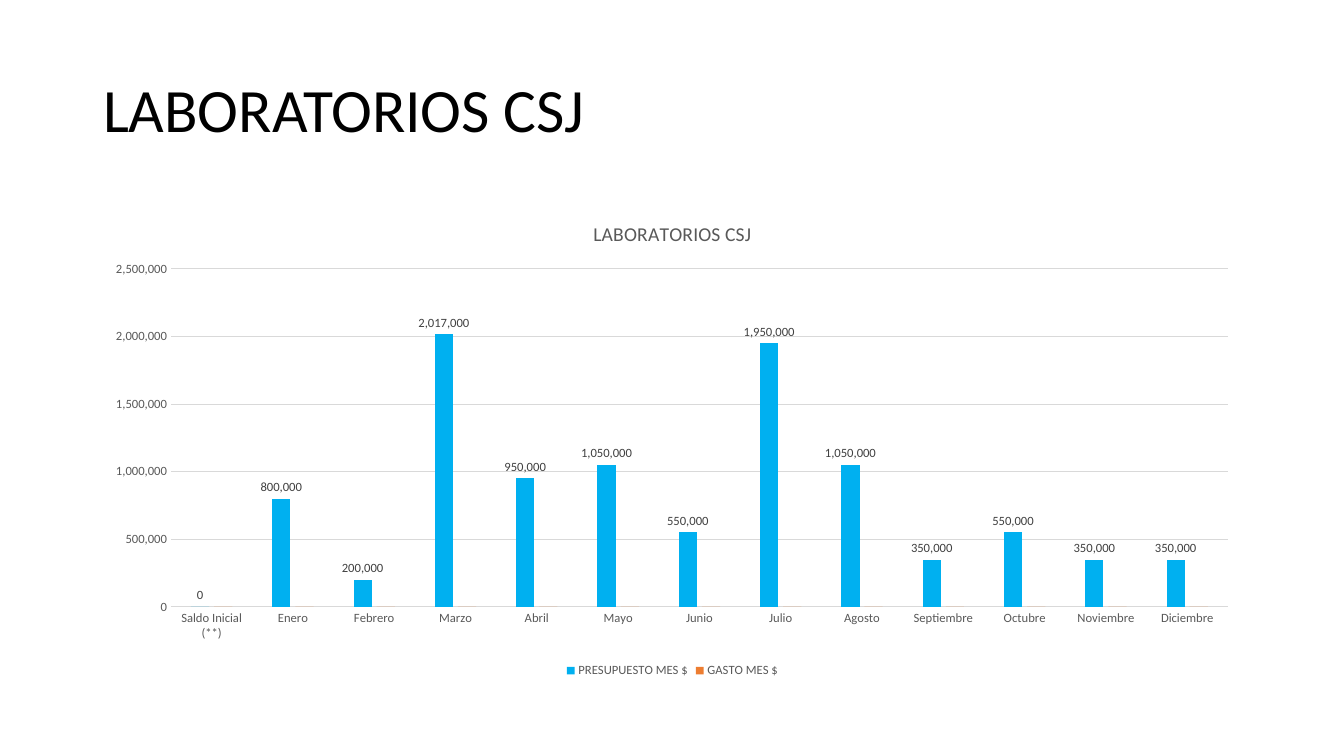
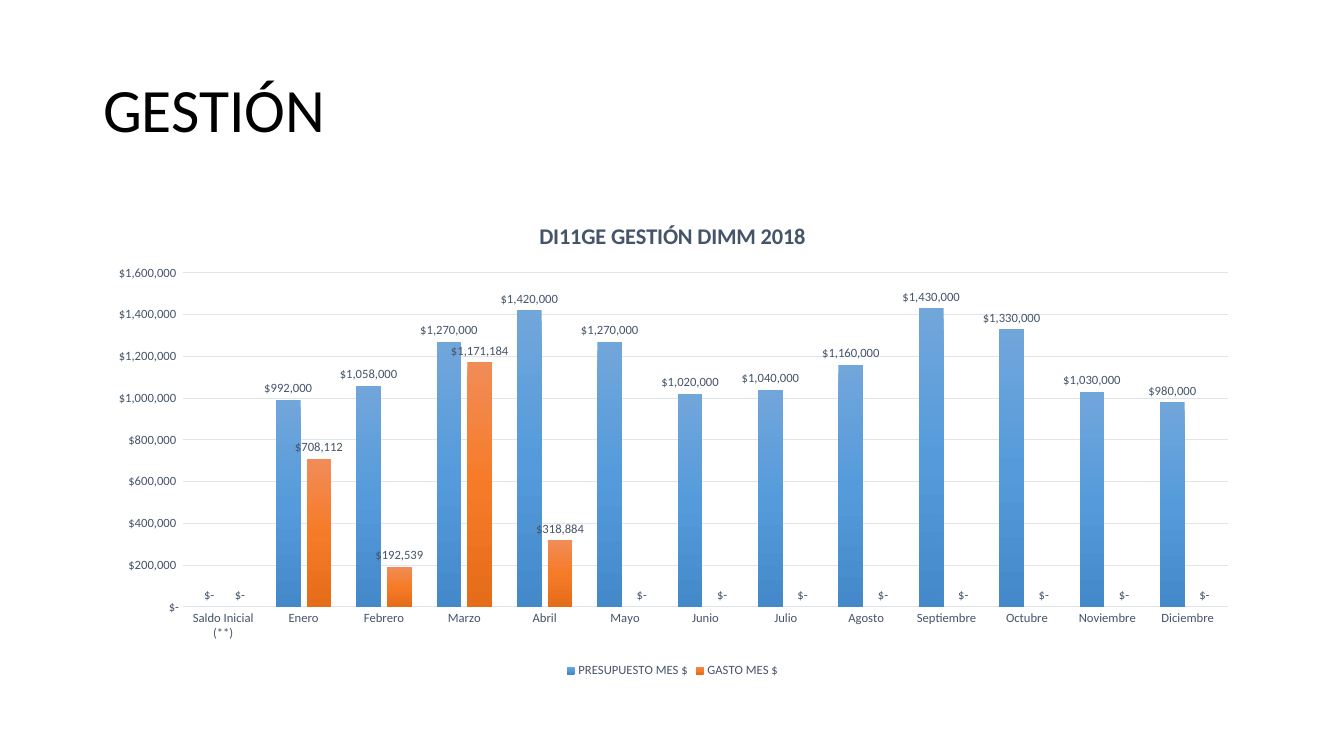
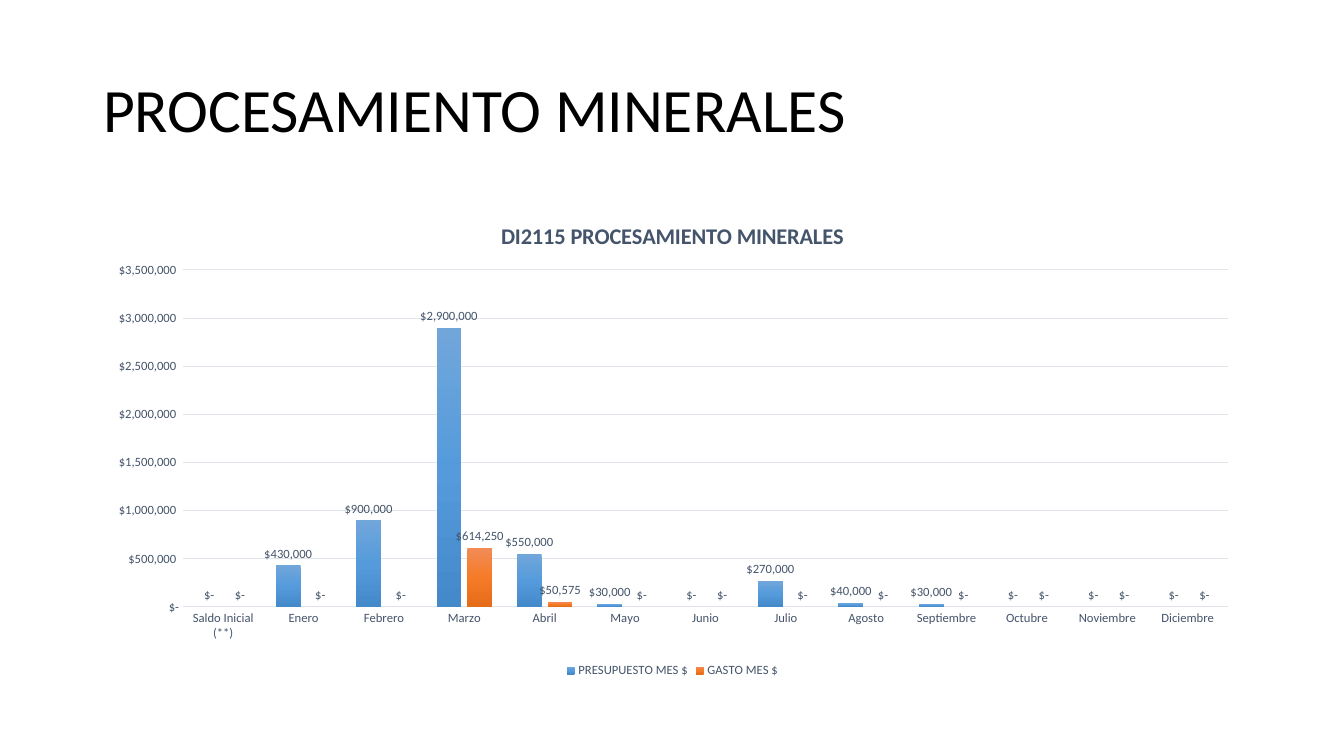
from copy import deepcopy

from pptx import Presentation
from pptx.chart.data import CategoryChartData
from pptx.dml.color import RGBColor
from pptx.enum.chart import XL_CHART_TYPE as ChartType
from pptx.enum.chart import XL_LABEL_POSITION as LabelPosition
from pptx.enum.chart import XL_LEGEND_POSITION as LegendPosition
from pptx.enum.chart import XL_TICK_MARK as TickMark
from pptx.enum.text import MSO_ANCHOR, MSO_AUTO_SIZE, PP_ALIGN
from pptx.oxml import parse_xml
from pptx.oxml.ns import nsdecls, qn
from pptx.util import Emu, Pt

# Shared look
FONT = "Calibri"
BLACK = RGBColor(0x00, 0x00, 0x00)
GRAY = RGBColor(0x59, 0x59, 0x59)
DARK_GRAY = RGBColor(0x40, 0x40, 0x40)
LIGHT_GRAY = RGBColor(0xD9, 0xD9, 0xD9)
SLATE = RGBColor(0x44, 0x54, 0x6A)
PALE_SLATE = RGBColor(0xE0, 0xE5, 0xEB)
CYAN = RGBColor(0x00, 0xB0, 0xF0)
ORANGE = RGBColor(0xED, 0x7D, 0x31)
BLUE_SHADES = [RGBColor(0x71, 0xA6, 0xDB), RGBColor(0x55, 0x9B, 0xDB), RGBColor(0x44, 0x8A, 0xCA)]
ORANGE_SHADES = [RGBColor(0xF1, 0x8C, 0x57), RGBColor(0xF6, 0x7B, 0x28), RGBColor(0xE5, 0x6C, 0x19)]

# Positions in pixels: left, top, width, height
PIXELS_PER_INCH = 100.8
TITLE_BOX = (93, 40, 1159, 146)
CHART_BOX = (93, 202, 1159, 480)
PLOT_RIGHT, PLOT_BOTTOM = 1228, 607

MONTHS = ["Saldo Inicial (**)", "Enero", "Febrero", "Marzo", "Abril", "Mayo", "Junio", "Julio",
          "Agosto", "Septiembre", "Octubre", "Noviembre", "Diciembre"]

PLAIN_STYLE = {
    "text": GRAY, "label": DARK_GRAY, "line": LIGHT_GRAY,
    "title_font": {"size": Pt(14), "bold": False},
    "gap": 219, "overlap": -27, "plot_left": 171,
    "fills": [[CYAN], [ORANGE]], "labelled_series": 1,
    "number_format": "##,###,###,###,##0",
}
CURRENCY_STYLE = {
    "text": SLATE, "label": SLATE, "line": PALE_SLATE,
    "title_font": {"size": Pt(16), "bold": True},
    "gap": 100, "overlap": -24, "plot_left": 183,
    "fills": [BLUE_SHADES, ORANGE_SHADES], "labelled_series": 2,
    "number_format": '_-"$"* #,##0_-;\\-"$"* #,##0_-;_-"$"* "-"',
}

# Content, in slide order; months missing from a series have no amount
SLIDES = [
    {"title": "LABORATORIOS CSJ", "chart_title": "LABORATORIOS CSJ",
     "style": PLAIN_STYLE, "plot_top": 269,
     "budget": [0, 800000, 200000, 2017000, 950000, 1050000, 550000, 1950000,
                1050000, 350000, 550000, 350000, 350000],
     "spending": []},
    {"title": "GESTIÓN", "chart_title": "DI11GE GESTIÓN DIMM 2018",
     "style": CURRENCY_STYLE, "plot_top": 273,
     "budget": [0, 992000, 1058000, 1270000, 1420000, 1270000, 1020000, 1040000,
                1160000, 1430000, 1330000, 1030000, 980000],
     "spending": [0, 708112, 192539, 1171184, 318884]},
    {"title": "PROCESAMIENTO MINERALES", "chart_title": "DI2115 PROCESAMIENTO MINERALES",
     "style": CURRENCY_STYLE, "plot_top": 270,
     "budget": [0, 430000, 900000, 2900000, 550000, 30000, 0, 270000, 40000, 30000],
     "spending": [0, 0, 0, 614250, 50575]},
]


def px(pixels):
    return Emu(round(pixels * 914400 / PIXELS_PER_INCH))


def set_font(font, color, **values):
    font.name = FONT
    font.color.rgb = color
    for name, value in values.items():
        setattr(font, name, value)


presentation = Presentation()
presentation.slide_width, presentation.slide_height = px(1344), px(756)
title_only = presentation.slide_layouts[5]

for content in SLIDES:
    style = content["style"]
    slide = presentation.slides.add_slide(title_only)

    # Slide title
    title = slide.shapes.title
    title.left, title.top, title.width, title.height = map(px, TITLE_BOX)
    frame = title.text_frame
    frame.text = content["title"]
    frame.auto_size = MSO_AUTO_SIZE.NONE
    frame.vertical_anchor = MSO_ANCHOR.MIDDLE
    paragraph = frame.paragraphs[0]
    paragraph.alignment = PP_ALIGN.LEFT
    paragraph.line_spacing = 0.9
    set_font(paragraph.runs[0].font, BLACK, size=Pt(44))

    # Chart data
    data = CategoryChartData()
    data.categories = MONTHS
    for name, key in (("PRESUPUESTO MES $", "budget"), ("GASTO MES $", "spending")):
        amounts = content[key]
        data.add_series(name, amounts + [0] * (len(MONTHS) - len(amounts)))
    chart = slide.shapes.add_chart(ChartType.COLUMN_CLUSTERED, *map(px, CHART_BOX), data).chart
    set_font(chart.font, BLACK, size=Pt(10))

    # Chart title and legend
    chart.has_title = True
    chart.chart_title.include_in_layout = False
    chart_title = chart.chart_title.text_frame
    chart_title.text = content["chart_title"]
    set_font(chart_title.paragraphs[0].runs[0].font, style["text"], **style["title_font"])
    chart.has_legend = True
    chart.legend.position = LegendPosition.BOTTOM
    chart.legend.include_in_layout = False
    set_font(chart.legend.font, style["text"], size=Pt(9))

    # Axes and gridlines
    for axis in (chart.category_axis, chart.value_axis):
        axis.major_tick_mark = axis.minor_tick_mark = TickMark.NONE
        set_font(axis.tick_labels.font, style["text"], size=Pt(9))
    chart.value_axis.tick_labels.number_format = style["number_format"]
    chart.value_axis.tick_labels.number_format_is_linked = False
    chart.value_axis.format.line.fill.background()
    for line in (chart.category_axis.format.line, chart.value_axis.major_gridlines.format.line):
        line.color.rgb = style["line"]
        line.width = Pt(0.75)

    # Columns and their labels
    plot = chart.plots[0]
    plot.gap_width, plot.overlap = style["gap"], style["overlap"]
    plot.vary_by_categories = False
    for index, (series, colors) in enumerate(zip(plot.series, style["fills"])):
        series.invert_if_negative = False
        fill = series.format.fill
        if len(colors) == 1:
            fill.solid()
            fill.fore_color.rgb = colors[0]
        else:
            fill.gradient()
            fill.gradient_angle = 270
            stop_list = next(series._element.iter(qn("a:gsLst")))
            stop_list.append(deepcopy(stop_list[0]))
            for position, (stop, color) in enumerate(zip(fill.gradient_stops, colors)):
                stop.position = position / 2
                stop.color.rgb = color
        if index < style["labelled_series"]:
            labels = series.data_labels
            labels.show_value = True
            labels.position = LabelPosition.OUTSIDE_END
            labels.number_format = style["number_format"]
            labels.number_format_is_linked = False
            set_font(labels.font, style["label"], size=Pt(9))

    # Inner plot area as fractions of the chart
    left, top, width, height = CHART_BOX
    fractions = {
        "x": (style["plot_left"] - left) / width,
        "y": (content["plot_top"] - top) / height,
        "w": (PLOT_RIGHT - style["plot_left"]) / width,
        "h": (PLOT_BOTTOM - content["plot_top"]) / height,
    }
    modes = '<c:xMode val="edge"/><c:yMode val="edge"/>'
    sizes = "".join(f'<c:{name} val="{value:.4f}"/>' for name, value in fractions.items())
    plot_area = next(chart._chartSpace.iter(qn("c:plotArea")))
    for layout in plot_area.findall(qn("c:layout")):
        plot_area.remove(layout)
    plot_area.insert(0, parse_xml(
        f'<c:layout {nsdecls("c")}><c:manualLayout><c:layoutTarget val="inner"/>'
        f'{modes}{sizes}</c:manualLayout></c:layout>'))

presentation.save("out.pptx")
